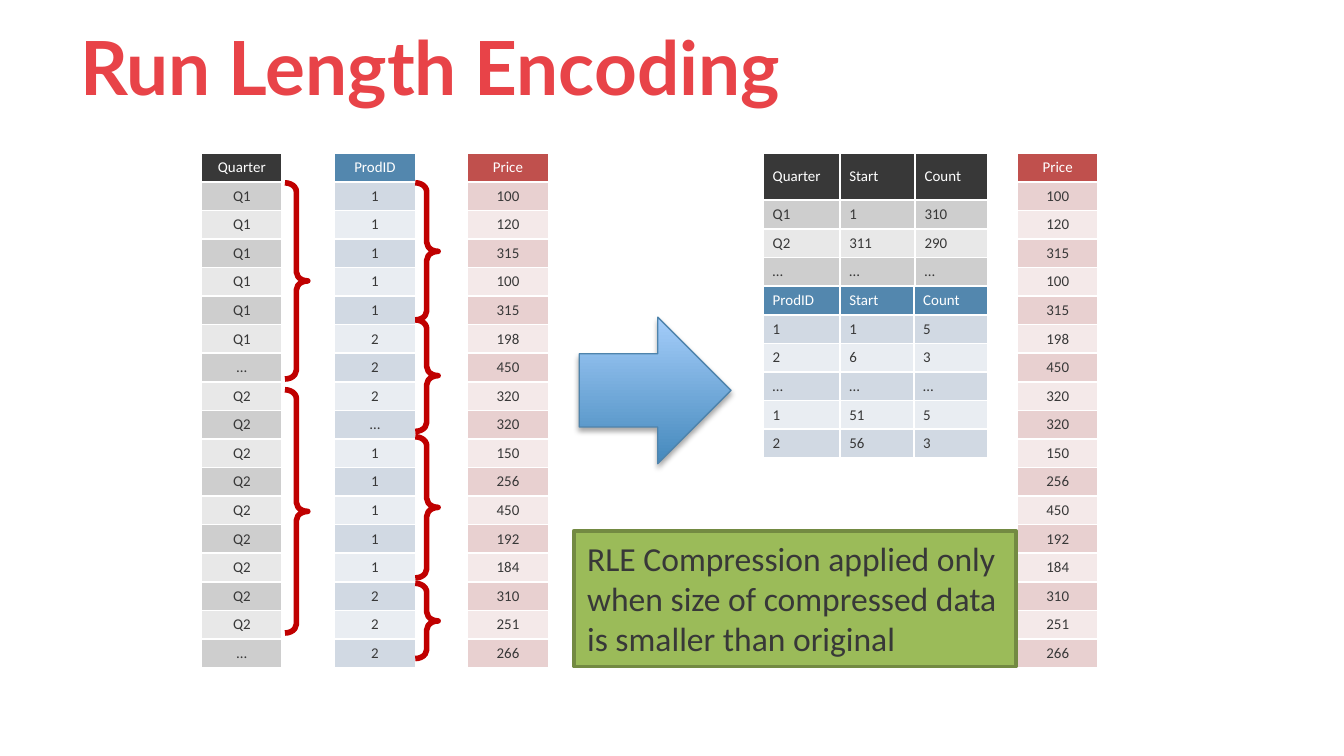
from lxml import etree
from pptx import Presentation
from pptx import util as u
from pptx.dml.color import RGBColor
from pptx.enum import shapes, text
from pptx.oxml import ns, parse_xml

WHITE = RGBColor(0xFF, 0xFF, 0xFF)
DARK = RGBColor(0x38, 0x38, 0x38)
TITLE_RED = RGBColor(0xE8, 0x43, 0x48)
BRACE_RED = RGBColor(0xC0, 0x00, 0x00)
GREEN = RGBColor(0x9B, 0xBB, 0x59)
GREEN_LINE = RGBColor(0x73, 0x8A, 0x42)
ARROW_LOW = RGBColor(0x45, 0x89, 0xBC)
ARROW_HIGH = RGBColor(0xA4, 0xCD, 0xFA)
ARROW_LINE = RGBColor(0x4F, 0x84, 0xAC)
# Table palettes: header, odd body rows, even body rows
GRAY = (DARK, RGBColor(0xCE, 0xCE, 0xCE), RGBColor(0xE8, 0xE8, 0xE8))
BLUE = (RGBColor(0x53, 0x87, 0xAE), RGBColor(0xD1, 0xD9, 0xE3), RGBColor(0xE9, 0xED, 0xF2))
RED = (RGBColor(0xC0, 0x50, 0x4D), RGBColor(0xE8, 0xD0, 0xD0), RGBColor(0xF4, 0xE9, 0xE9))

ROW_H = u.Inches(3.83) // 18
CELL = {"margin_left": u.Inches(0.07), "margin_right": u.Inches(0.07),
        "margin_top": u.Inches(0.03), "margin_bottom": u.Inches(0.03),
        "vertical_anchor": text.MSO_ANCHOR.MIDDLE}


def add_run(p, words, size, color, font="Calibri", bold=False):
    r = p.add_run()
    r.text = words
    for name, value in {"size": u.Pt(size), "name": font, "bold": bold}.items():
        setattr(r.font, name, value)
    r.font.color.rgb = color


def add_grid(s, x, y, widths, rows, palette, align, header_h=ROW_H):
    heights = [header_h] + [ROW_H] * (len(rows) - 1)
    table = s.shapes.add_table(len(rows), len(widths), u.Inches(x), u.Inches(y),
                               u.Inches(sum(widths)), sum(heights)).table
    for col, width in zip(table.columns, widths):
        col.width = u.Inches(width)
    for i, values in enumerate(rows):
        table.rows[i].height = heights[i]
        for j, value in enumerate(values):
            cell = table.cell(i, j)
            for name, setting in CELL.items():
                setattr(cell, name, setting)
            # White borders
            tcPr = cell._tc.get_or_add_tcPr()
            for side in ("lnL", "lnR", "lnT", "lnB"):
                ln = etree.SubElement(tcPr, ns.qn(f"a:{side}"), w=str(u.Pt(1)))
                fill = etree.SubElement(ln, ns.qn("a:solidFill"))
                etree.SubElement(fill, ns.qn("a:srgbClr"), val=str(WHITE))
            cell.fill.solid()
            cell.fill.fore_color.rgb = palette[0] if i == 0 else palette[2 - i % 2]
            p = cell.text_frame.paragraphs[0]
            p.alignment = align
            add_run(p, value, 8, DARK if i else WHITE)


# Widescreen 16:9
prs = Presentation()
prs.slide_width = u.Inches(10)
prs.slide_height = u.Inches(10) * 9 // 16
s = prs.slides.add_slide(prs.slide_layouts[6])

# Title
tf = s.shapes.add_textbox(u.Inches(0.5), u.Inches(0.01), u.Inches(9.5), u.Inches(0.96)).text_frame
tf.word_wrap = True
tf.vertical_anchor = text.MSO_ANCHOR.MIDDLE
add_run(tf.paragraphs[0], "Run Length Encoding", 40, TITLE_RED, "Lato", True)

# Uncompressed columns, and the price column kept as it is
quarters = ["Quarter"] + ["Q1"] * 6 + ["…"] + ["Q2"] * 9 + ["…"]
products = ["ProdID"] + ["1"] * 5 + ["2"] * 3 + ["…"] + ["1"] * 5 + ["2"] * 3
prices = ["Price", "100", "120", "315", "100", "315", "198", "450", "320", "320",
          "150", "256", "450", "192", "184", "310", "251", "266"]
for x, column, palette in ((1.5, quarters, GRAY), (2.49, products, BLUE),
                           (3.48, prices, RED), (7.57, prices, RED)):
    add_grid(s, x, 1.14, [0.6], [[value] for value in column], palette, text.PP_ALIGN.CENTER)

# Compressed tables
quarter_runs = [("Quarter", "Start", "Count"), ("Q1", "1", "310"),
                ("Q2", "311", "290"), ("…", "…", "…")]
product_runs = [("ProdID", "Start", "Count"), ("1", "1", "5"), ("2", "6", "3"),
                ("…", "…", "…"), ("1", "51", "5"), ("2", "56", "3")]
add_grid(s, 5.68, 1.14, [0.57, 0.56, 0.54], quarter_runs, GRAY, text.PP_ALIGN.LEFT, u.Inches(0.35))
add_grid(s, 5.68, 2.13, [0.57, 0.55, 0.55], product_runs, BLUE, text.PP_ALIGN.LEFT)

# Braces around each run of equal values
for x, spans in ((2.12, [(1.36, 1.46), (2.9, 1.81)]),
                 (3.09, [(1.36, 1.02), (2.38, 0.83), (3.25, 1.05), (4.34, 0.56)])):
    group = s.shapes.add_group_shape()
    for y, height in spans:
        sp = group.shapes.add_shape(shapes.MSO_SHAPE.LEFT_BRACE, u.Inches(x), u.Inches(y),
                                    u.Inches(0.17), u.Inches(height))
        sp.rotation = 180
        sp.adjustments[0] = 0.39
        sp.shadow.inherit = False
        sp.fill.background()
        sp.line.color.rgb = BRACE_RED
        sp.line.width = u.Pt(3)

# Arrow with gradient and soft shadow
sp = s.shapes.add_shape(shapes.MSO_SHAPE.RIGHT_ARROW, u.Inches(4.31), u.Inches(2.36),
                        u.Inches(1.13), u.Inches(1.09))
sp.fill.gradient()
sp.fill.gradient_angle = 90
for stop, color in zip(sp.fill.gradient_stops, (ARROW_LOW, ARROW_HIGH)):
    stop.color.rgb = color
sp.line.color.rgb = ARROW_LINE
sp.line.width = u.Pt(0.75)
sp.shadow.inherit = False
sp._element.spPr.find(ns.qn("a:effectLst")).append(parse_xml(
    f'<a:outerShdw {ns.nsdecls("a")} blurRad="{u.Pt(3.1)}" dist="{u.Pt(1.8)}" dir="5400000" '
    'rotWithShape="0"><a:srgbClr val="000000"><a:alpha val="35000"/></a:srgbClr></a:outerShdw>'))

# Callout
sp = s.shapes.add_shape(shapes.MSO_SHAPE.RECTANGLE, u.Inches(4.27), u.Inches(3.95),
                        u.Inches(3.29), u.Inches(1.01))
sp.shadow.inherit = False
sp.fill.solid()
sp.fill.fore_color.rgb = GREEN
sp.line.color.rgb = GREEN_LINE
sp.line.width = u.Pt(2)
tf = sp.text_frame
for name, value in {"word_wrap": False, "vertical_anchor": text.MSO_ANCHOR.TOP,
                    "auto_size": text.MSO_AUTO_SIZE.SHAPE_TO_FIT_TEXT}.items():
    setattr(tf, name, value)
p = tf.paragraphs[0]
p.alignment = text.PP_ALIGN.LEFT
for i, line in enumerate(("RLE Compression applied only", "when size of compressed data",
                          "is smaller than original")):
    if i:
        p.add_line_break()
    add_run(p, line, 18, DARK)

prs.save("out.pptx")
